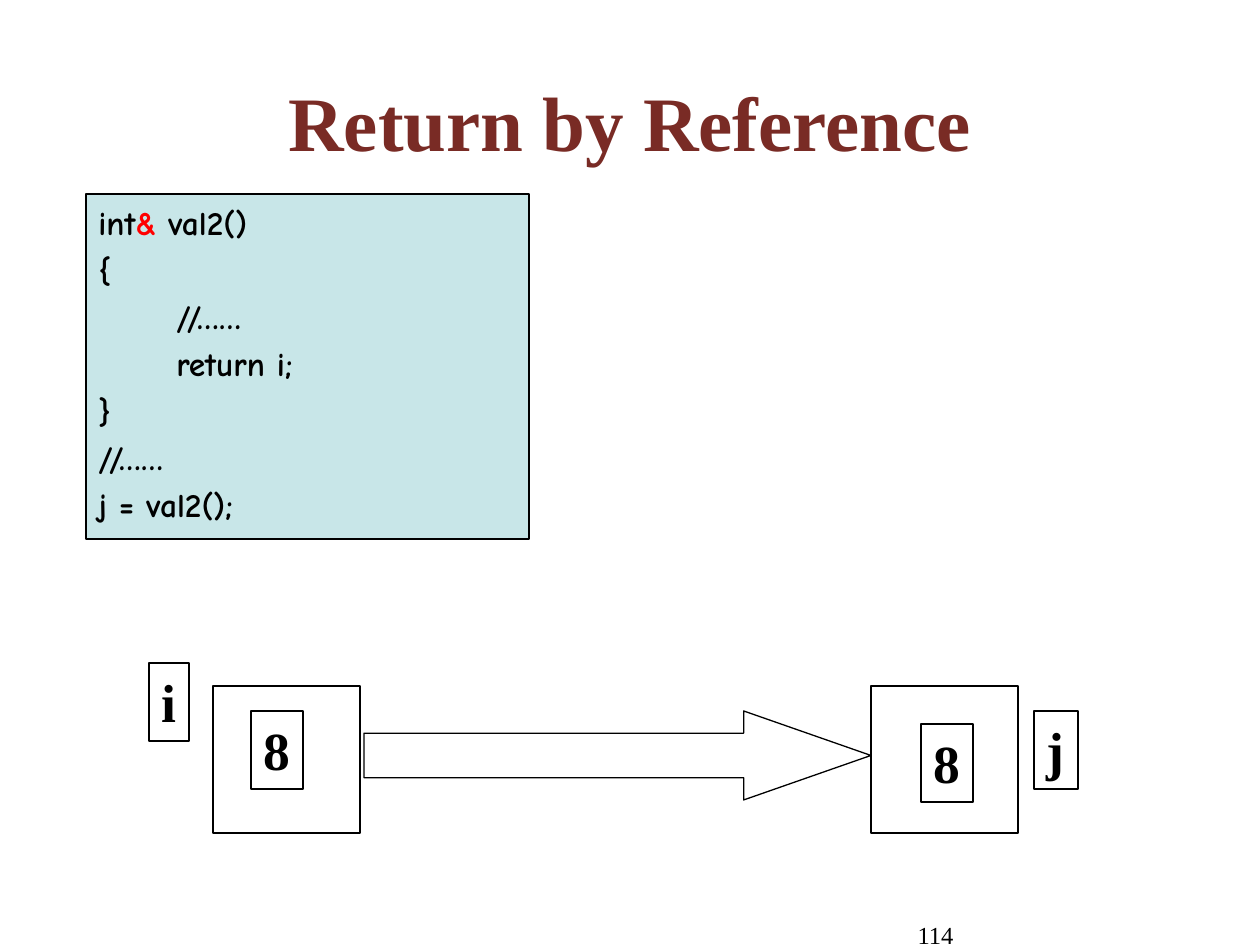
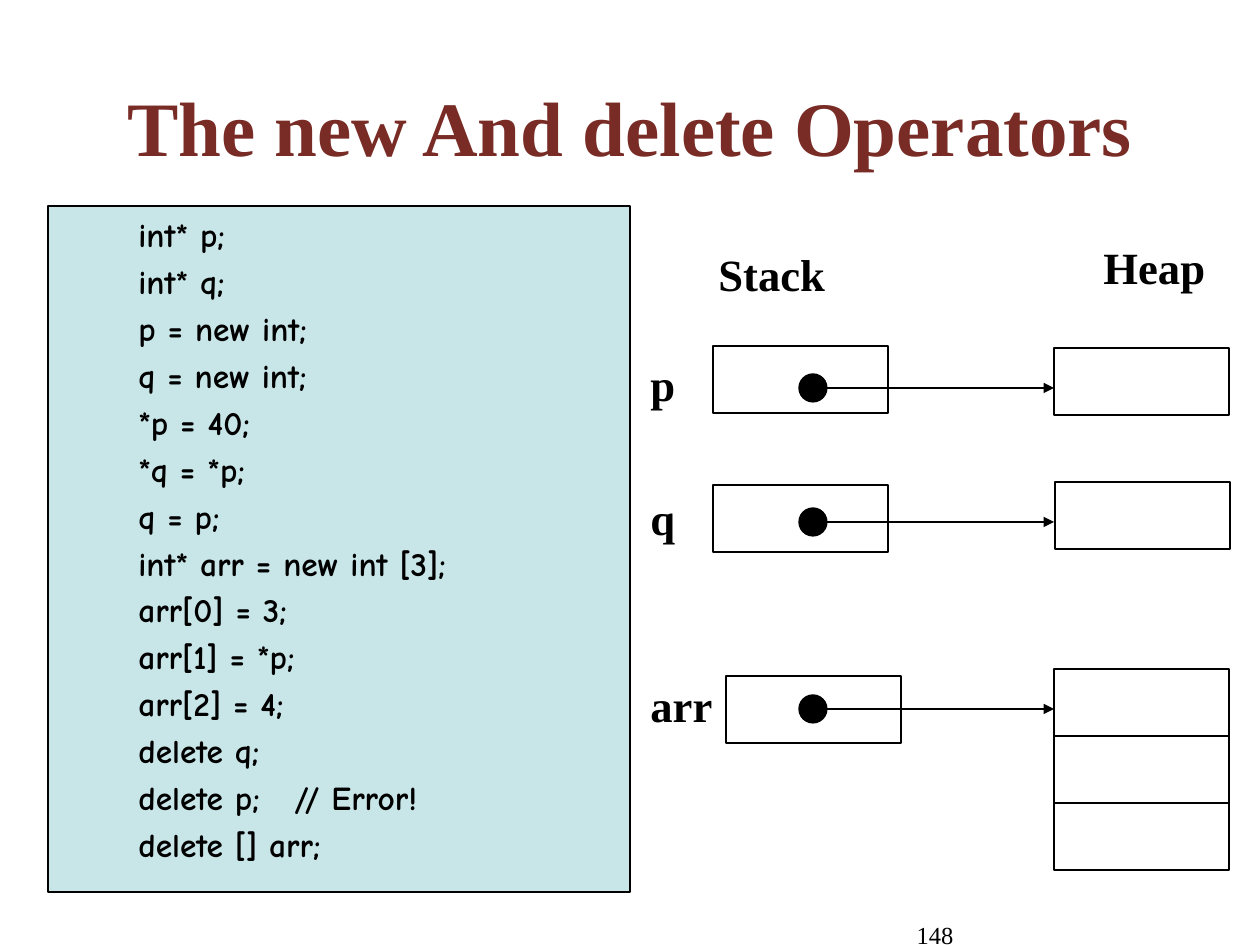
import lxml.etree
import pptx
import pptx.dml.color
import pptx.enum.shapes
import pptx.enum.text
import pptx.oxml.ns
import pptx.util

COLORS = {"title": "792B25", "text": "000000", "mark": "FF0000",
          "line": "000000", "code": "BBE0E3"}
SERIF, CODE_FONT = "Times New Roman", "Comic Neue"
PX_PER_INCH = 126
TAB_WIDTH = 78
CELL_WIDTH, CELL_HEIGHT = 175, 67
DOT_SIZE = 28

SHAPES = pptx.enum.shapes.MSO_SHAPE
ALIGN = pptx.enum.text.PP_ALIGN
ANCHOR = pptx.enum.text.MSO_ANCHOR


def px(length):
    return pptx.util.Emu(round(length * 914400 / PX_PER_INCH))


def color(name):
    return pptx.dml.color.RGBColor.from_string(COLORS[name])


def add_xml(parent, tag, **attributes):
    return lxml.etree.SubElement(parent, pptx.oxml.ns.qn(tag), attributes)


def add_run(paragraph, text, size, font=SERIF, color_name="text", bold=True):
    run = paragraph.add_run()
    run.text = text
    run.font.name = font
    run.font.size = pptx.util.Pt(size)
    run.font.bold = bold
    run.font.color.rgb = color(color_name)


def prepare_frame(shape, wrap=True, anchor=ANCHOR.TOP):
    frame = shape.text_frame
    frame.auto_size = pptx.enum.text.MSO_AUTO_SIZE.NONE
    frame.word_wrap = wrap
    frame.vertical_anchor = anchor
    return frame


def add_box(slide, left, top, width, height, kind=SHAPES.RECTANGLE, fill=None):
    shape = slide.shapes.add_shape(kind, px(left), px(top), px(width), px(height))
    shape.shadow.inherit = False
    if fill:
        shape.fill.solid()
        shape.fill.fore_color.rgb = color(fill)
    else:
        shape.fill.background()
    shape.line.color.rgb = color("line")
    shape.line.width = pptx.util.Pt(0.75)
    return shape


def add_cell(slide, left, top):
    add_box(slide, left, top, CELL_WIDTH, CELL_HEIGHT)


def add_boxed_label(slide, text, left, top, width):
    shape = add_box(slide, left, top, width, 78)
    paragraph = prepare_frame(shape, wrap=False).paragraphs[0]
    paragraph.alignment = ALIGN.LEFT
    add_run(paragraph, text, 30.6)


def add_text(slide, text, left, top, width, height, size=25.5, bold=True,
             align=ALIGN.LEFT, wrap=False):
    box = slide.shapes.add_textbox(px(left), px(top), px(width), px(height))
    paragraph = prepare_frame(box, wrap).paragraphs[0]
    paragraph.alignment = align
    add_run(paragraph, text, size, bold=bold)


def add_code(slide, lines, left, top, width, height):
    """Each line is a list of (text, colour name) runs."""
    panel = add_box(slide, left, top, width, height, fill="code")
    fill_color = panel.fill._xPr.find(".//" + pptx.oxml.ns.qn("a:srgbClr"))
    add_xml(fill_color, "a:alpha", val="80000")
    frame = prepare_frame(panel)
    for number, runs in enumerate(lines):
        paragraph = frame.add_paragraph() if number else frame.paragraphs[0]
        tabs = add_xml(paragraph._p.get_or_add_pPr(), "a:tabLst")
        for stop in range(1, 5):
            add_xml(tabs, "a:tab", pos=str(px(stop * TAB_WIDTH)), algn="l")
        paragraph.alignment = ALIGN.LEFT
        paragraph.line_spacing = pptx.util.Pt(24)
        if number:
            paragraph.space_before = pptx.util.Pt(2.8)
        for text, color_name in runs:
            add_run(paragraph, text, 19.1, CODE_FONT, color_name)


def add_pointer(slide, start_x, end_x, y):
    connector = slide.shapes.add_connector(
        pptx.enum.shapes.MSO_CONNECTOR.STRAIGHT, px(start_x), px(y), px(end_x), px(y))
    connector.line.color.rgb = color("line")
    connector.line.width = pptx.util.Pt(0.75)
    add_xml(connector.line._get_or_add_ln(), "a:tailEnd", type="triangle")
    add_xml(connector._element.spPr, "a:effectLst")
    add_box(slide, start_x - DOT_SIZE / 2, y - DOT_SIZE / 2, DOT_SIZE, DOT_SIZE,
            SHAPES.OVAL, "line")


def add_slide(presentation, title, number, left, top, width, height):
    slide = presentation.slides.add_slide(presentation.slide_layouts[5])
    shape = slide.shapes.title
    shape.left, shape.top, shape.width, shape.height = map(px, (left, top, width, height))
    paragraph = prepare_frame(shape, anchor=ANCHOR.MIDDLE).paragraphs[0]
    paragraph.alignment = ALIGN.CENTER
    add_run(paragraph, title, 44, color_name="title")
    add_text(slide, number, 850, 914, 116, 31, 14, False, ALIGN.RIGHT, True)
    return slide


def build_reference_slide(presentation):
    slide = add_slide(presentation, "Return by Reference", "114", 63, 53, 1134, 136)
    signature = [("int", "text"), ("&", "mark"), (" val2()", "text")]
    body = ["{", "\t//……", "\treturn i;", "}", "//……", "j = val2();"]
    add_code(slide, [signature] + [[(line, "text")] for line in body],
             86, 194, 443, 345)

    # Variables i and j, with the value passed between them
    for left in (213, 871):
        add_box(slide, left, 686, 147, 147)
    arrow = add_box(slide, 364, 711, 507, 89, SHAPES.RIGHT_ARROW)
    arrow.adjustments[0] = 0.5
    arrow.adjustments[1] = 1.43
    for text, left, top, width in (("i", 149, 663, 40), ("8", 251, 711, 52),
                                   ("8", 921, 724, 52), ("j", 1034, 711, 44)):
        add_boxed_label(slide, text, left, top, width)


def build_operators_slide(presentation):
    slide = add_slide(presentation, "The new And delete Operators", "148",
                      42, 78, 1177, 96)
    code = ["int* p;", "int* q;", "p = new int;", "q = new int;", "*p = 40;",
            "*q = *p;", "q = p;", "int* arr = new int [3];", "arr[0] = 3;",
            "arr[1] = *p;", "arr[2] = 4;", "delete q;", "delete p;\t// Error!",
            "delete [] arr;"]
    add_code(slide, [[("\t" + line, "text")] for line in code], 48, 206, 582, 686)

    # Column headings
    add_text(slide, "Stack", 706, 241, 151, 67, wrap=True)
    add_text(slide, "Heap", 1091, 234, 145, 67, wrap=True)

    # Name, label width, stack cell, heap cell, heap cell count, pointer height
    variables = [("p", 50, (713, 346), (1054, 348), 1, 388),
                 ("q", 50, (713, 485), (1055, 482), 1, 522),
                 ("arr", 88, (726, 676), (1054, 669), 3, 709)]
    for name, width, stack, heap, count, y in variables:
        add_text(slide, name, 638, y - 37, width, 67)
        add_cell(slide, *stack)
        for index in range(count):
            add_cell(slide, heap[0], heap[1] + index * CELL_HEIGHT)
        add_pointer(slide, 813, 1054, y)


def main():
    presentation = pptx.Presentation()
    presentation.slide_width = px(1260)
    presentation.slide_height = px(945)
    build_reference_slide(presentation)
    build_operators_slide(presentation)
    presentation.save("out.pptx")


if __name__ == "__main__":
    main()
